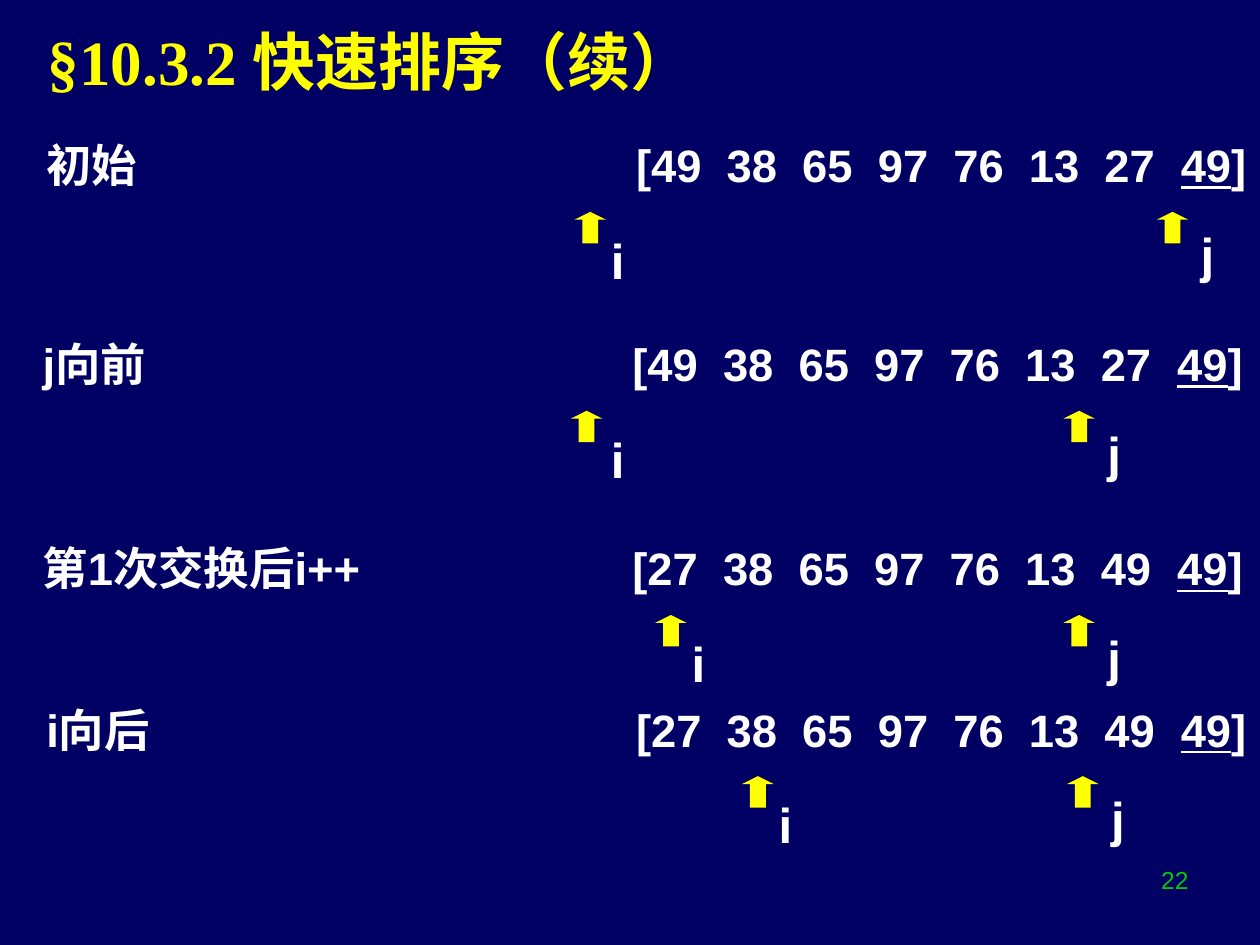
from lxml import etree
from pptx import Presentation
from pptx.dml.color import RGBColor
from pptx.enum.shapes import MSO_SHAPE
from pptx.enum.text import MSO_ANCHOR, PP_ALIGN
from pptx.oxml.ns import qn
from pptx.util import Pt

ARROW = MSO_SHAPE.RIGHT_ARROW
MIDDLE = MSO_ANCHOR.MIDDLE
LEFT, RIGHT = PP_ALIGN.LEFT, PP_ALIGN.RIGHT

HUES = {"back": "000064", "title": "FFFF00", "text": "FFFFFF", "page": "00CC00"}

# Content: label, list head, left, top, arrow i, gap to its name, arrow j
TITLE = "§10.3.2 快速排序（续）"
PAGE = "22"
STEPS = [
    ("初始", "[49  38  65  97  76  13  27  ", 19.4, 78.5, 328.3, 13.7, 661),
    ("j向前", "[49  38  65  97  76  13  27  ", 17.3, 192.2, 326.2, 15.8, 607.7),
    ("第1次交换后i++", "[27  38  65  97  76  13  49  ", 17.3, 308.9, 374.4, 13.7, 607.7),
    ("i向后", "[27  38  65  97  76  13  49  ", 19.4, 401, 424.1, 13.7, 609.8),
]
LAST = "49"
STOP = 337  # where the list starts inside its row
SIDE = 18   # arrow size


def color(name):
    return RGBColor.from_string(HUES[name])


def style(run, size, hue, bold=True, face="Arial"):
    font = run.font
    font.size, font.bold, font.name = Pt(size), bold, face
    font.color.rgb = color(hue)


def add_box(slide, x, y, w, h):
    box = slide.shapes.add_textbox(Pt(x), Pt(y), Pt(w), Pt(h))
    box.text_frame.word_wrap = True
    return box.text_frame


def add_text(slide, text, place, size, hue, bold=True, face="Arial", align=LEFT):
    frame = add_box(slide, *place)
    frame.text = text
    para = frame.paragraphs[0]
    para.alignment = align
    style(para.runs[0], size, hue, bold, face)
    return frame


def add_row(slide, label, head, x, y):
    para = add_box(slide, x, y, 700.6, 74.2).paragraphs[0]
    para.line_spacing = 0.9
    tabs = etree.SubElement(para._p.get_or_add_pPr(), qn("a:tabLst"))
    etree.SubElement(tabs, qn("a:tab"), pos=str(Pt(STOP)), algn="l")
    for text, line in ((f"{label}\t{head}", False), (LAST, True), ("]", False)):
        run = para.add_run()
        run.text = text
        style(run, 25.9, "text")
        run.font.underline = line


def add_mark(slide, name, x, y, gap, drop):
    arrow = slide.shapes.add_shape(ARROW, Pt(x), Pt(y), Pt(SIDE), Pt(SIDE))
    arrow.rotation = 270
    arrow.adjustments[0], arrow.adjustments[1] = 0.5, 0.25
    arrow.shadow.inherit = False
    arrow.fill.solid()
    arrow.fill.fore_color.rgb = color("title")
    arrow.line.fill.background()
    add_text(slide, name, (x + gap, y + drop, 25.2, 42.5), 28, "text")


def main():
    deck = Presentation()
    deck.slide_width, deck.slide_height = Pt(720), Pt(540)
    slide = deck.slides.add_slide(deck.slide_layouts[6])
    fill = slide.background.fill
    fill.solid()
    fill.fore_color.rgb = color("back")

    # Title and page number
    title = add_text(slide, TITLE, (20.2, 14.4, 666, 39.6), 36, "title",
                     face="Times New Roman")
    title.vertical_anchor = MIDDLE
    add_text(slide, PAGE, (518.4, 491, 167.8, 37.4), 14, "page",
             bold=False, align=RIGHT)

    # Sorting steps with their two pointers
    for label, head, x, y, left, gap, right in STEPS:
        add_row(slide, label, head, x, y)
        add_mark(slide, "i", left, y + 42.5, gap, 7.2)
        add_mark(slide, "j", right, y + 42.5, SIDE, 3.6)

    deck.save("out.pptx")


if __name__ == "__main__":
    main()
